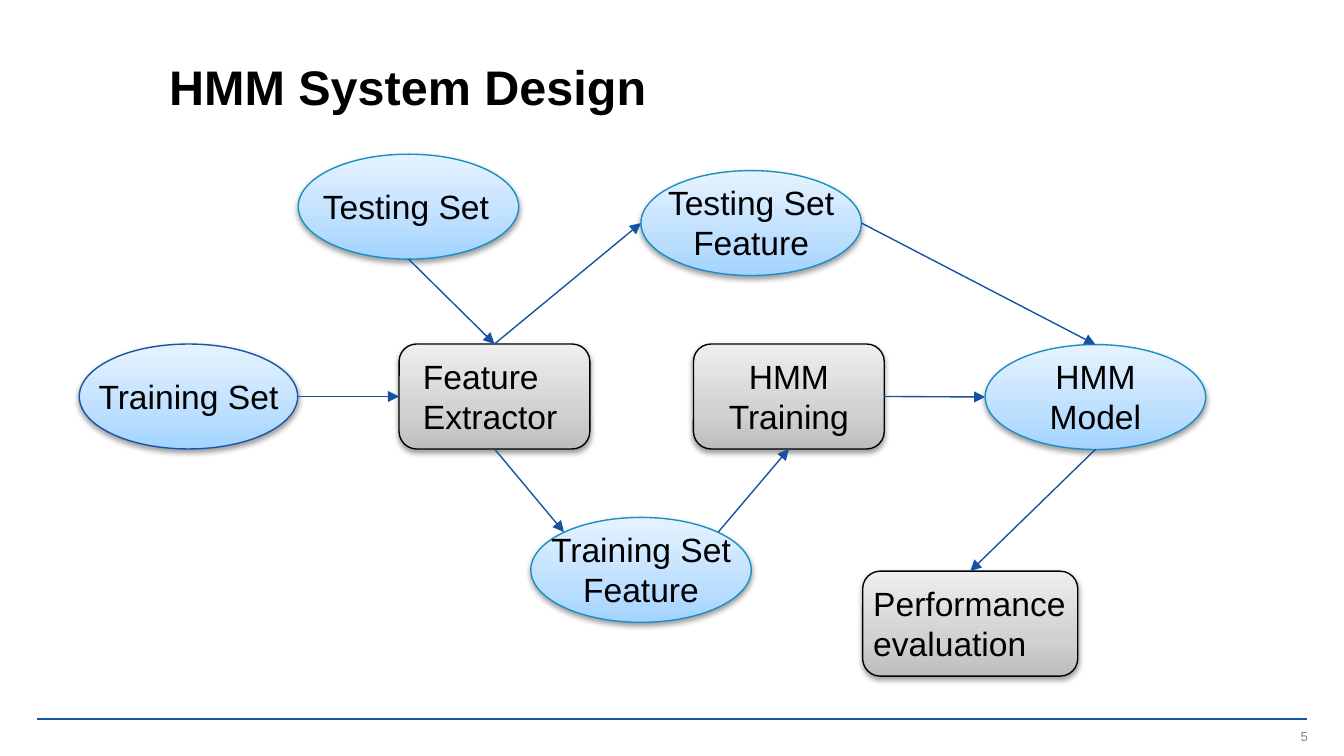
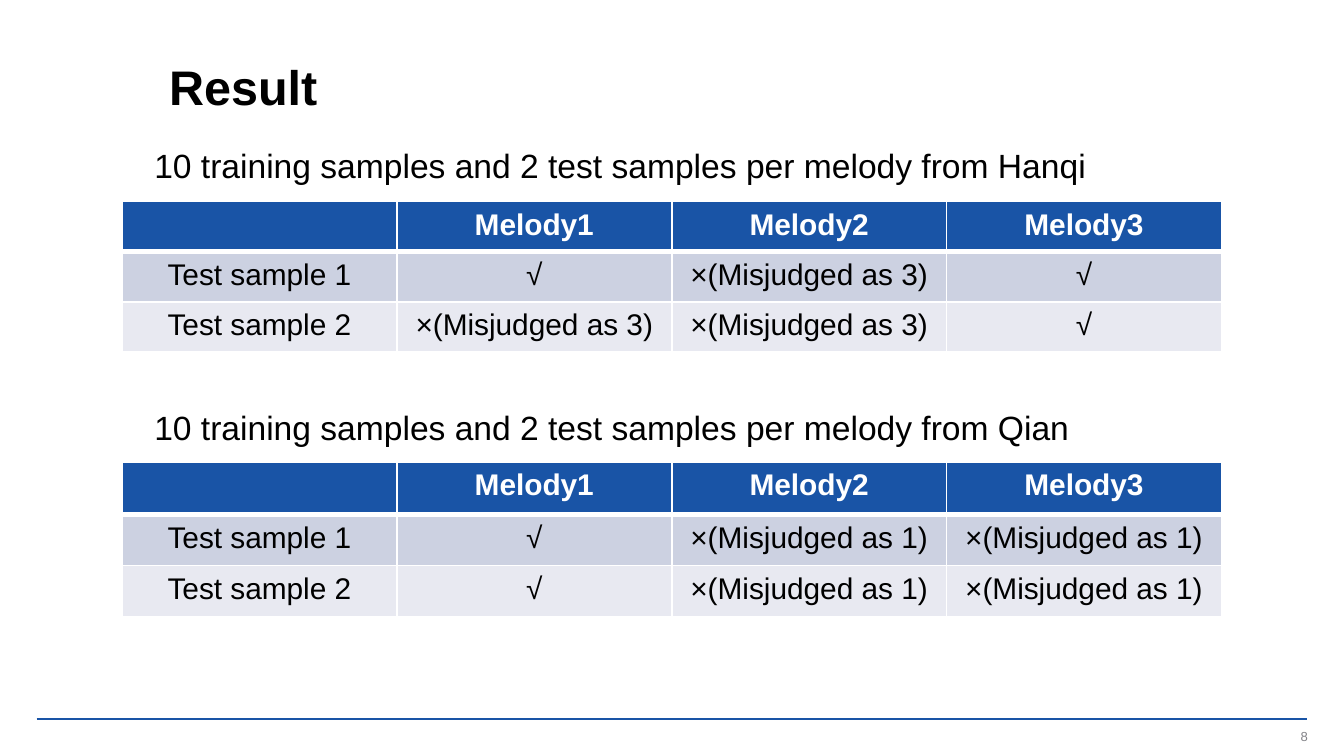
from copy import deepcopy
from dataclasses import dataclass

from lxml import etree
from pptx import Presentation
from pptx.dml.color import RGBColor
from pptx.enum import shapes, text
from pptx.oxml import ns
from pptx.util import Pt

COLORS = {
    "brand": "1954A6",
    "arrow": "1552A6",
    "cyan": "1B8FC3",
    "black": "000000",
    "white": "FFFFFF",
    "page": "848489",
    "band_dark": "CCD1E1",
    "band_light": "E8E9F1",
}
GRADIENTS = {
    "blue": ("A2D3FF", "BDDFFF", "E6F3FF"),
    "gray": ("BDBDBD", "D1D1D1", "EEEEEE"),
}
STOPS = (0, 0.35, 1)
FONT = "Arial"
NODE_HEIGHT = 56.2
ANCHORS = {
    "top": (0.5, 0),
    "bottom": (0.5, 1),
    "left": (0, 0.5),
    "right": (1, 0.5),
    "upper left": (0.15, 0.14),
    "upper right": (0.85, 0.14),
}
LEFT, CENTER, RIGHT = text.PP_ALIGN.LEFT, text.PP_ALIGN.CENTER, text.PP_ALIGN.RIGHT


@dataclass(frozen=True)
class Node:
    label: str
    left: float
    top: float
    width: float
    label_width: float
    align: text.PP_ALIGN = CENTER
    oval: bool = True
    line: str = "cyan"

    def anchor(self, side: str) -> tuple[float, float]:
        across, down = ANCHORS[side]
        return self.left + across * self.width, self.top + down * NODE_HEIGHT


@dataclass(frozen=True)
class Arrow:
    start: str
    start_side: str
    end: str
    end_side: str


@dataclass(frozen=True)
class ResultTable:
    caption: str
    caption_top: float
    top: float
    row_heights: tuple[float, ...]
    results: tuple[tuple[str, ...], ...]


NODES = {
    "training": Node("Training Set", 42.5, 184.3, 117, 116, line="brand"),
    "extractor": Node("Feature Extractor", 213.8, 184.3, 102.2, 90.7, LEFT, False, "black"),
    "hmm training": Node("HMM Training", 371.5, 184.3, 102.2, 82.8, oval=False, line="black"),
    "testing": Node("Testing Set", 159.8, 82.6, 118.1, 106, LEFT),
    "evaluation": Node("Performance evaluation", 462.2, 306, 115.2, 118.1, LEFT, False, "black"),
    "model": Node("HMM Model", 527.8, 184.6, 118.1, 106),
    "training feature": Node("Training Set\nFeature", 284.4, 277.2, 118.1, 116),
    "testing feature": Node("Testing Set\nFeature", 343.4, 91.4, 118.1, 116),
}
ARROWS = (
    Arrow("training", "right", "extractor", "left"),
    Arrow("extractor", "bottom", "training feature", "upper left"),
    Arrow("testing", "bottom", "extractor", "top"),
    Arrow("hmm training", "right", "model", "left"),
    Arrow("model", "bottom", "evaluation", "top"),
    Arrow("extractor", "top", "testing feature", "left"),
    Arrow("training feature", "upper right", "hmm training", "bottom"),
    Arrow("testing feature", "right", "model", "top"),
)

HEADERS = ("", "Melody1", "Melody2", "Melody3")
RIGHT_MARK, AS_1, AS_3 = "√", "×(Misjudged as 1)", "×(Misjudged as 3)"
TABLES = (
    ResultTable(
        "10 training samples and 2 test samples per melody from Hanqi",
        74.2, 108, (26.9, 26.9, 26.9),
        ((RIGHT_MARK, AS_3, RIGHT_MARK), (AS_3, AS_3, RIGHT_MARK)),
    ),
    ResultTable(
        "10 training samples and 2 test samples per melody from Qian",
        214.6, 247.7, (28, 27.4, 27.4),
        ((RIGHT_MARK, AS_1, AS_1), (RIGHT_MARK, AS_1, AS_1)),
    ),
)


def rgb(name: str) -> RGBColor:
    return RGBColor.from_string(COLORS.get(name, name))


def write(frame, content: str, *, size: float, color: str = "black", bold: bool = False,
          align: text.PP_ALIGN = LEFT, spacing: float | None = None) -> None:
    for index, line in enumerate(content.split("\n")):
        paragraph = frame.add_paragraph() if index else frame.paragraphs[0]
        paragraph.alignment = align
        if spacing:
            paragraph.line_spacing = Pt(spacing)
        if not line:
            etree.SubElement(paragraph._p, ns.qn("a:endParaRPr"), sz=str(int(size * 100)))
            continue
        run = paragraph.add_run()
        run.text = line
        run.font.name, run.font.size, run.font.bold = FONT, Pt(size), bold
        run.font.color.rgb = rgb(color)


def add_text(slide, content: str, left: float, top: float, width: float, height: float, *,
             anchor: text.MSO_ANCHOR = text.MSO_ANCHOR.TOP, inset: bool = True, **style) -> None:
    frame = slide.shapes.add_textbox(Pt(left), Pt(top), Pt(width), Pt(height)).text_frame
    frame.word_wrap = True
    frame.vertical_anchor = anchor
    if not inset:
        frame.margin_left = frame.margin_right = frame.margin_top = frame.margin_bottom = 0
    write(frame, content, **style)


def add_line(slide, start: tuple[float, float], end: tuple[float, float], color: str,
             weight: float, arrow: bool = False) -> None:
    connector = slide.shapes.add_connector(
        shapes.MSO_CONNECTOR.STRAIGHT, *(Pt(value) for value in (*start, *end)))
    connector.line.color.rgb = rgb(color)
    connector.line.width = Pt(weight)
    if arrow:
        etree.SubElement(connector.line._get_or_add_ln(), ns.qn("a:tailEnd"), type="triangle")
    etree.SubElement(connector._element.spPr, ns.qn("a:effectLst"))


def fill_gradient(shape, colors: tuple[str, ...]) -> None:
    shape.fill.gradient()
    shape.fill.gradient_angle = 90
    first = shape._element.spPr.find(".//" + ns.qn("a:gs"))
    first.addnext(deepcopy(first))
    for stop, position, color in zip(shape.fill.gradient_stops, STOPS, colors):
        stop.position = position
        stop.color.rgb = rgb(color)


def add_shadow(shape) -> None:
    shape.shadow.inherit = False
    effects = shape._element.spPr.find(ns.qn("a:effectLst"))
    shadow = etree.SubElement(effects, ns.qn("a:outerShdw"), blurRad=str(Pt(3.1)),
                              dist=str(Pt(1.6)), dir="5400000", rotWithShape="0")
    color = etree.SubElement(shadow, ns.qn("a:srgbClr"), val=COLORS["black"])
    etree.SubElement(color, ns.qn("a:alpha"), val="38000")


def add_node(slide, node: Node) -> None:
    kind = shapes.MSO_SHAPE.OVAL if node.oval else shapes.MSO_SHAPE.ROUNDED_RECTANGLE
    shape = slide.shapes.add_shape(
        kind, Pt(node.left), Pt(node.top), Pt(node.width), Pt(NODE_HEIGHT))
    fill_gradient(shape, GRADIENTS["blue" if node.oval else "gray"])
    shape.line.color.rgb = rgb(node.line)
    shape.line.width = Pt(0.75)
    add_shadow(shape)
    height = 29 if node.label == "Training Set" or node.label == "Testing Set" else 51
    add_text(slide, node.label, node.left + (node.width - node.label_width) / 2,
             node.top + (NODE_HEIGHT - height) / 2, node.label_width, height,
             size=18, align=node.align)


def add_borders(cell, row: int) -> None:
    properties = cell._tc.get_or_add_tcPr()
    weights = {"lnL": 1, "lnR": 1, "lnT": 3 if row == 1 else 1, "lnB": 3 if row == 0 else 1}
    for tag, weight in weights.items():
        border = etree.SubElement(properties, ns.qn(f"a:{tag}"), w=str(Pt(weight)))
        fill = etree.SubElement(border, ns.qn("a:solidFill"))
        etree.SubElement(fill, ns.qn("a:srgbClr"), val=COLORS["white"])


def add_result_table(slide, result: ResultTable) -> None:
    add_text(slide, result.caption, 75.6, result.caption_top, 565, 29, size=18)
    rows = [HEADERS] + [(f"Test sample {number}", *marks)
                        for number, marks in enumerate(result.results, 1)]
    table = slide.shapes.add_table(
        len(rows), len(HEADERS), Pt(65.4), Pt(result.top), Pt(589),
        Pt(sum(result.row_heights))).table
    for column in table.columns:
        column.width = Pt(147.25)
    for row, (values, height) in enumerate(zip(rows, result.row_heights)):
        table.rows[row].height = Pt(height)
        header = row == 0
        for column, value in enumerate(values):
            cell = table.cell(row, column)
            add_borders(cell, row)
            cell.fill.solid()
            cell.fill.fore_color.rgb = rgb(("brand", "band_dark", "band_light")[row])
            write(cell.text_frame, value, size=16, align=CENTER, bold=header,
                  color="white" if header else "black")


def add_base_slide(presentation, title: str, number: int):
    slide = presentation.slides.add_slide(presentation.slide_layouts[6])
    add_line(slide, (19.6, 385.2), (700.4, 385.2), "brand", 1)
    middle = text.MSO_ANCHOR.MIDDLE
    add_text(slide, title, 83.5, 20.2, 594.7, 53.3, anchor=middle,
             size=26, bold=True, spacing=30)
    add_text(slide, str(number), 538.6, 389.5, 162, 9.4, anchor=middle, inset=False,
             size=7, color="page", align=RIGHT)
    return slide


def main() -> None:
    presentation = Presentation()
    presentation.slide_width, presentation.slide_height = Pt(720), Pt(405)

    design = add_base_slide(presentation, "HMM System Design", 5)
    for node in NODES.values():
        add_node(design, node)
    for arrow in ARROWS:
        add_line(design, NODES[arrow.start].anchor(arrow.start_side),
                 NODES[arrow.end].anchor(arrow.end_side), "arrow", 0.75, arrow=True)

    outcome = add_base_slide(presentation, "Result", 8)
    for result in TABLES:
        add_result_table(outcome, result)

    presentation.save("out.pptx")


if __name__ == "__main__":
    main()
